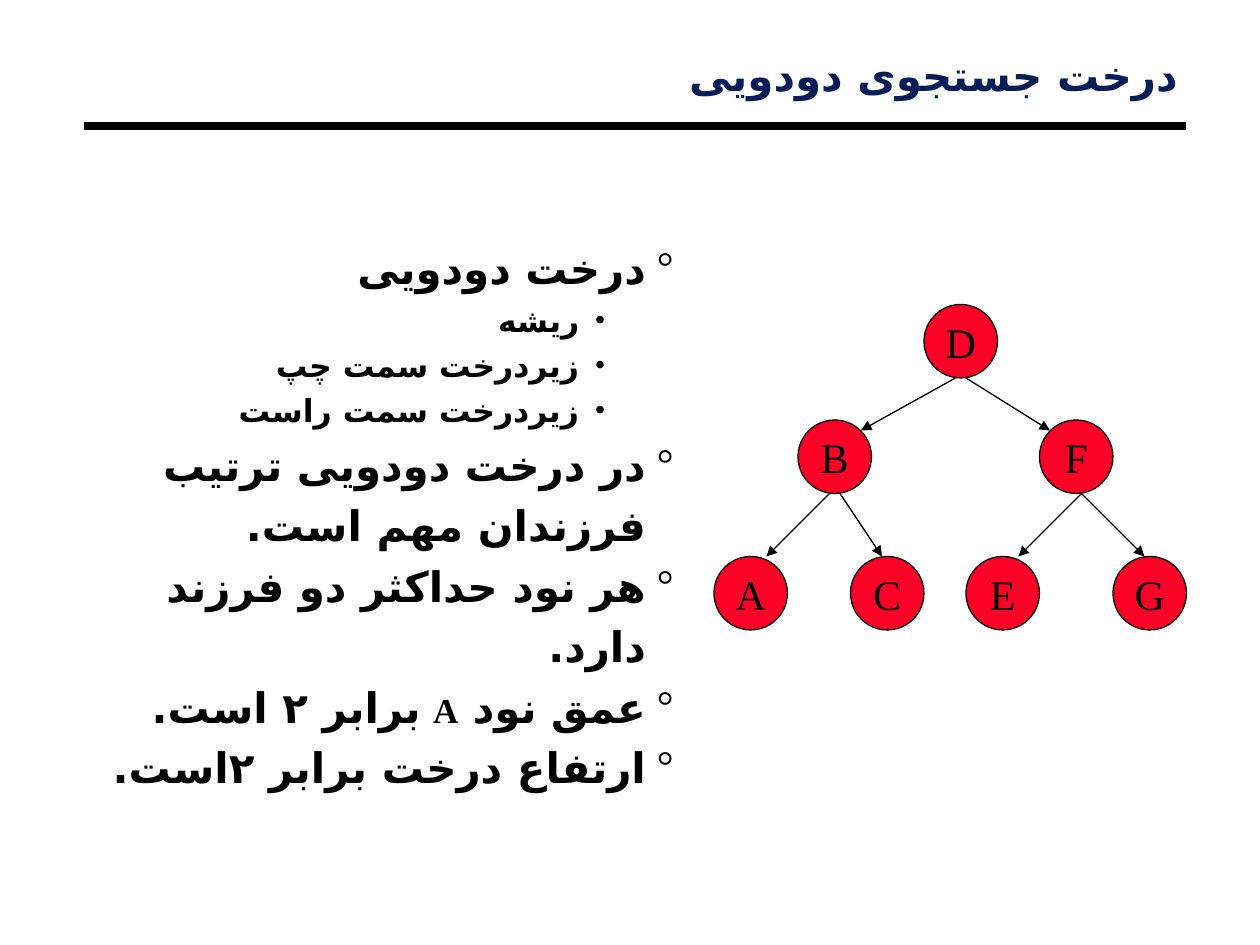
from dataclasses import dataclass

from lxml import etree
from pptx import Presentation
from pptx.dml.color import RGBColor
from pptx.enum.shapes import MSO_CONNECTOR, MSO_SHAPE
from pptx.enum.text import MSO_ANCHOR, PP_ALIGN
from pptx.oxml.ns import qn
from pptx.util import Inches, Pt

STRAIGHT = MSO_CONNECTOR.STRAIGHT
OVAL = MSO_SHAPE.OVAL
MIDDLE = MSO_ANCHOR.MIDDLE
CENTER, RIGHT = PP_ALIGN.CENTER, PP_ALIGN.RIGHT
BLANK_LAYOUT = 6
COLUMNS, ROWS = 120, 90
NODE_SPAN = 7


@dataclass(frozen=True)
class Theme:
    """Colours, fonts and point sizes of the slide."""
    ink: str = "000000"
    title_color: str = "081D58"
    node_fill: str = "FC0128"
    title_font: str = "Arial"
    body_font: str = "Times New Roman"
    script_font: str = "DejaVu Sans"
    large: int = 24
    medium: int = 20
    small: int = 18
    rule: float = 4.5
    hairline: float = 0.75


@dataclass(frozen=True)
class Bullet:
    """Mark, indents in inches and outline level of a list item."""
    mark: str
    margin: float
    hanging: float
    level: int


TOPIC = Bullet("°", 0.22, 0.22, 0)
DETAIL = Bullet("•", 0.75, 0.21, 1)


class TreeSlide:
    """Draws styled elements on a slide, placed by grid columns and rows."""

    def __init__(self, deck, theme):
        """Adds a blank slide and derives the grid cell from the deck size."""
        self.theme = theme
        self.slide = deck.slides.add_slide(deck.slide_layouts[BLANK_LAYOUT])
        self.cell_width = deck.slide_width / COLUMNS
        self.cell_height = deck.slide_height / ROWS

    def place(self, column, row):
        """Converts a grid position or extent to slide lengths."""
        return round(column * self.cell_width), round(row * self.cell_height)

    def add_run(self, paragraph, text, size, font, color, bold=False):
        """Adds one run with its Latin face and the Persian script face."""
        run = paragraph.add_run()
        run.text = text
        run.font.size = Pt(size)
        run.font.bold = bold
        run.font.name = font
        run.font.color.rgb = RGBColor.from_string(color)
        etree.SubElement(run.font._element, qn("a:cs"),
                         typeface=self.theme.script_font)

    def rtl_paragraph(self, paragraph, spacing):
        """Sets a paragraph to run from right to left."""
        paragraph.alignment = RIGHT
        paragraph.line_spacing = spacing
        properties = paragraph._p.get_or_add_pPr()
        properties.set("rtl", "1")
        return properties

    def text_frame(self, column, row, width, height):
        """Adds a wrapping text box and returns its frame."""
        box = self.slide.shapes.add_textbox(
            *self.place(column, row), *self.place(width, height))
        frame = box.text_frame
        frame.word_wrap = True
        frame.margin_left = frame.margin_right = Inches(0.07)
        frame.margin_top = frame.margin_bottom = Inches(0.03)
        return frame

    def title(self, text, *area):
        """Adds the heading."""
        heading = self.text_frame(*area).paragraphs[0]
        self.rtl_paragraph(heading, 0.87)
        self.add_run(heading, text, self.theme.large, self.theme.title_font,
                     self.theme.title_color, bold=True)

    def bullets(self, items, *area):
        """Adds a right-to-left list of items made of sized runs."""
        frame = self.text_frame(*area)
        for index, (bullet, runs) in enumerate(items):
            item = frame.add_paragraph() if index else frame.paragraphs[0]
            item.level = bullet.level
            properties = self.rtl_paragraph(item, 1.2)
            properties.set("marL", str(Inches(bullet.margin)))
            properties.set("indent", str(-Inches(bullet.hanging)))
            mark_color = etree.SubElement(properties, qn("a:buClr"))
            etree.SubElement(mark_color, qn("a:srgbClr"), val=self.theme.ink)
            etree.SubElement(properties, qn("a:buFont"),
                             typeface=self.theme.body_font)
            etree.SubElement(properties, qn("a:buChar"), char=bullet.mark)
            for text, size in runs:
                self.add_run(item, text, size, self.theme.body_font,
                             self.theme.ink, bold=True)

    def line(self, start, end, weight, arrow=False):
        """Adds a straight line, with an arrowhead at its end if asked."""
        connector = self.slide.shapes.add_connector(
            STRAIGHT, *self.place(*start), *self.place(*end))
        connector.line.width = Pt(weight)
        connector.line.color.rgb = RGBColor.from_string(self.theme.ink)
        if arrow:
            etree.SubElement(connector.line._get_or_add_ln(),
                             qn("a:tailEnd"), type="triangle")
        etree.SubElement(connector._element.spPr, qn("a:effectLst"))

    def node(self, label, column, row):
        """Adds a labelled tree node."""
        circle = self.slide.shapes.add_shape(
            OVAL, *self.place(column, row), *self.place(NODE_SPAN, NODE_SPAN))
        circle.shadow.inherit = False
        circle.fill.solid()
        circle.fill.fore_color.rgb = RGBColor.from_string(self.theme.node_fill)
        circle.line.color.rgb = RGBColor.from_string(self.theme.ink)
        circle.line.width = Pt(self.theme.hairline)
        frame = circle.text_frame
        frame.word_wrap = False
        frame.vertical_anchor = MIDDLE
        frame.paragraphs[0].alignment = CENTER
        self.add_run(frame.paragraphs[0], label, self.theme.large,
                     self.theme.body_font, self.theme.ink)


def main():
    """Builds the binary search tree slide."""
    deck = Presentation()
    deck.slide_width, deck.slide_height = Inches(10), Inches(7.5)
    theme = Theme()
    page = TreeSlide(deck, theme)

    page.line((8, 12), (113, 12), theme.rule)
    page.title("درخت جستجوی دودویی", 9, 5, 104, 5)

    large, medium, small = theme.large, theme.medium, theme.small
    page.bullets([
        (TOPIC, [("درخت دودویی", large)]),
        (DETAIL, [("ریشه", small)]),
        (DETAIL, [("زیردرخت سمت چپ", small)]),
        (DETAIL, [("زیردرخت سمت راست", small)]),
        (TOPIC, [("در درخت دودویی ترتیب فرزندان مهم است.", large)]),
        (TOPIC, [("هر نود حداکثر دو فرزند دارد.", large)]),
        (TOPIC, [("عمق نود ", large), ("A ", medium), ("برابر ۲ است.", large)]),
        (TOPIC, [("ارتفاع درخت برابر ۲است.", large)]),
    ], 8, 21.8, 57, 58.3)

    levels = {29: {"D": 88}, 40: {"F": 99, "B": 76},
              53: {"G": 106, "E": 92, "C": 81, "A": 68}}
    for row, nodes in levels.items():
        for label, column in nodes.items():
            page.node(label, column, row)

    branches = {(36, 41): [(91, 82), (92, 100)],
                (47, 53): [(103, 97), (103, 109), (79, 73), (80, 84)]}
    for (parent_row, child_row), spans in branches.items():
        for parent_column, child_column in spans:
            page.line((parent_column, parent_row), (child_column, child_row),
                      theme.hairline, arrow=True)

    deck.save("out.pptx")


if __name__ == "__main__":
    main()
